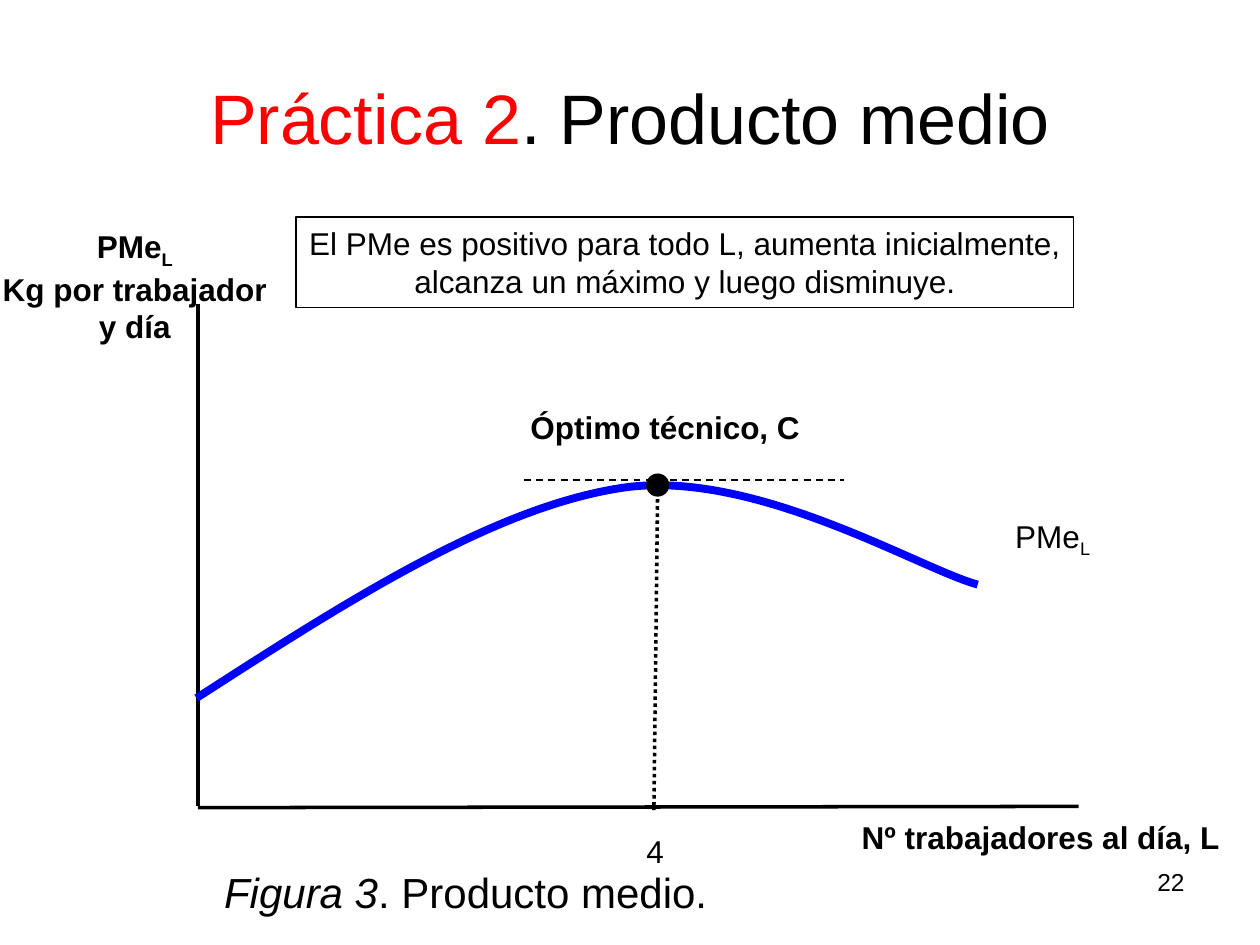
import lxml.etree
import pptx
import pptx.dml.color
import pptx.enum.dml
import pptx.enum.shapes
import pptx.enum.text
import pptx.oxml.ns
import pptx.util
from pptx.util import Inches

BLACK = pptx.dml.color.RGBColor(0x00, 0x00, 0x00)
RED = pptx.dml.color.RGBColor(0xFF, 0x00, 0x00)
BLUE = pptx.dml.color.RGBColor(0x00, 0x00, 0xFF)
FONT = "Arial"
ALIGN = pptx.enum.text.PP_ALIGN
ANCHOR = pptx.enum.text.MSO_ANCHOR
DASH = pptx.enum.dml.MSO_LINE
SHAPE = pptx.enum.shapes.MSO_SHAPE


def add_run(paragraph, text, size, color=BLACK, bold=False, italic=False, subscript=False):
    run = paragraph.add_run()
    run.text = text
    run.font.name = FONT
    run.font.size = pptx.util.Pt(size)
    run.font.color.rgb = color
    run.font.bold = bold
    run.font.italic = italic
    if subscript:
        run.font._element.set("baseline", "-25000")


def write_lines(shape, lines, size=18, align=ALIGN.CENTER, anchor=ANCHOR.MIDDLE, wrap=False):
    frame = shape.text_frame
    frame.word_wrap = wrap
    frame.vertical_anchor = anchor
    for index, runs in enumerate(lines):
        paragraph = frame.paragraphs[0] if index == 0 else frame.add_paragraph()
        paragraph.alignment = align
        for text, style in runs:
            add_run(paragraph, text, size, **style)


def add_label(slide, left, top, width, height, lines, **layout):
    box = slide.shapes.add_textbox(Inches(left), Inches(top), Inches(width), Inches(height))
    write_lines(box, lines, **layout)


def add_line(slide, start, end, weight, dash=None):
    connector = slide.shapes.add_connector(
        pptx.enum.shapes.MSO_CONNECTOR.STRAIGHT, *map(Inches, start + end))
    connector.line.color.rgb = BLACK
    connector.line.width = pptx.util.Pt(weight)
    if dash:
        connector.line.dash_style = dash
    lxml.etree.SubElement(connector._element.spPr, pptx.oxml.ns.qn("a:effectLst"))


def add_curve(slide, points, color, weight):
    start, *controls = [(Inches(x), Inches(y)) for x, y in points]
    builder = slide.shapes.build_freeform(*start)
    builder.add_line_segments(controls, close=False)
    curve = builder.convert_to_shape()
    segments = list(curve._element.iter(pptx.oxml.ns.qn("a:lnTo")))
    outline = segments[0].getparent()
    for first in range(0, len(segments), 3):
        bezier = lxml.etree.SubElement(outline, pptx.oxml.ns.qn("a:cubicBezTo"))
        for segment in segments[first:first + 3]:
            bezier.append(segment[0])
            outline.remove(segment)
    curve.shadow.inherit = False
    curve.fill.background()
    curve.line.color.rgb = color
    curve.line.width = pptx.util.Pt(weight)


def add_title(slide, left, top, width, height):
    title = slide.shapes.title
    title.left, title.top = Inches(left), Inches(top)
    title.width, title.height = Inches(width), Inches(height)
    write_lines(title, [[("Práctica 2", {"color": RED}), (". Producto medio", {})]],
                size=40, wrap=True)


def add_statement(slide, left, top, width, height):
    box = slide.shapes.add_shape(
        SHAPE.RECTANGLE, Inches(left), Inches(top), Inches(width), Inches(height))
    box.shadow.inherit = False
    box.fill.background()
    box.line.color.rgb = BLACK
    box.line.width = pptx.util.Pt(1)
    write_lines(box, [
        [("El PMe es positivo para todo L, aumenta inicialmente,", {})],
        [("alcanza un máximo y luego disminuye.", {})],
    ])


def add_graph(slide, left, top, width, height):
    bold = {"bold": True}
    bottom = top + height
    optimum_x, optimum_y = left + 3.65, top + 1.44

    add_line(slide, (left, top), (left, bottom - 0.01), 2)
    add_line(slide, (left, bottom), (left + width, bottom - 0.01), 2)
    curve = [(-0.01, 3.13), (1.17, 2.37), (2.35, 1.61), (3.38, 1.46),
             (4.42, 1.31), (5.72, 2.1), (6.19, 2.23)]
    add_curve(slide, [(left + x, top + y) for x, y in curve], BLUE, 4.5)
    add_line(slide, (optimum_x, optimum_y), (optimum_x - 0.03, bottom + 0.02), 2, DASH.ROUND_DOT)

    diameter = 0.17
    point = slide.shapes.add_shape(
        SHAPE.OVAL, Inches(optimum_x - diameter / 2), Inches(optimum_y - diameter / 2),
        Inches(diameter), Inches(diameter))
    point.shadow.inherit = False
    point.fill.solid()
    point.fill.fore_color.rgb = BLACK
    point.line.color.rgb = BLACK
    point.line.width = pptx.util.Pt(1)
    add_line(slide, (left + 2.59, top + 1.4), (left + 5.13, top + 1.4), 1, DASH.DASH)

    add_label(slide, left + 2.54, top + 0.78, 2.34, 0.4, [[("Óptimo técnico, C", bold)]])
    add_label(slide, left + 3.46, bottom + 0.14, 0.34, 0.4, [[("4", {})]])
    add_label(slide, left + 6.38, top + 1.66, 0.81, 0.4,
              [[("PMe", {}), ("L", {"subscript": True})]])
    add_label(slide, left - 1.65, top - 0.64, 2.3, 1, [
        [("PMe", bold), ("L", {"bold": True, "subscript": True})],
        [("Kg por trabajador", bold)],
        [("y día", bold)],
    ])
    add_label(slide, left + 5.17, bottom + 0.03, 3.04, 0.4,
              [[("Nº trabajadores al día, L", bold)]], align=ALIGN.LEFT, anchor=ANCHOR.TOP)


def add_footer(slide, left, top, width, height):
    add_label(slide, left, top, 7.05, height,
              [[("Figura 3", {"italic": True}), (". Producto medio.", {})]],
              size=24, align=ALIGN.LEFT, anchor=ANCHOR.TOP, wrap=True)
    number_width = 2.33
    add_label(slide, left + width - number_width, top, number_width, height, [[("22", {})]],
              size=14, align=ALIGN.RIGHT, anchor=ANCHOR.TOP, wrap=True)


def main():
    presentation = pptx.Presentation()
    presentation.slide_width = Inches(10)
    presentation.slide_height = Inches(7.5)
    slide = presentation.slides.add_slide(presentation.slide_layouts[5])
    add_title(slide, 0.5, 0.3, 9, 1.25)
    add_statement(slide, 2.35, 1.72, 6.17, 0.72)
    add_graph(slide, 1.57, 2.41, 6.99, 4)
    add_footer(slide, 1.68, 6.83, 7.82, 0.52)
    presentation.save("out.pptx")


if __name__ == "__main__":
    main()
